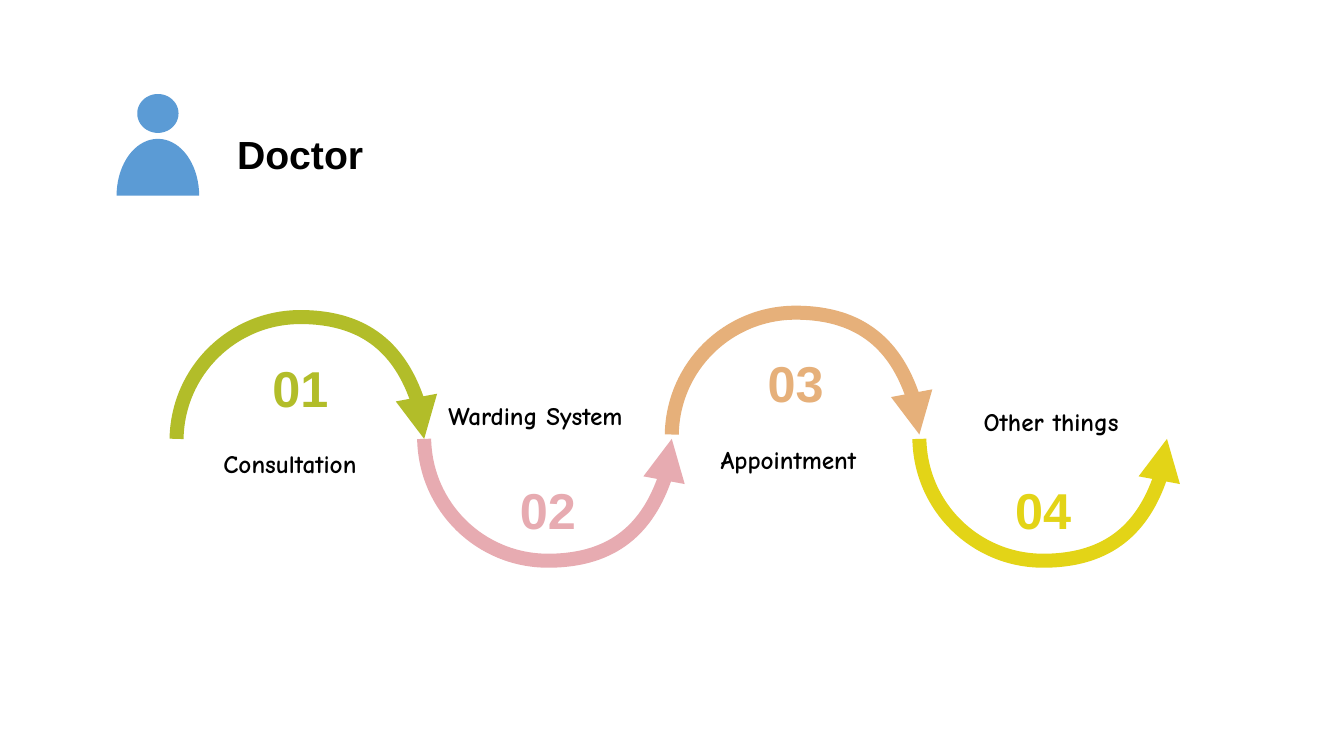
import math
import pptx
import pptx.util
import pptx.dml.color
import pptx.enum.text
import pptx.oxml
import pptx.oxml.ns

Cm = pptx.util.Cm
Pt = pptx.util.Pt
qn = pptx.oxml.ns.qn
ALIGN = pptx.enum.text.PP_ALIGN
ANCHOR = pptx.enum.text.MSO_ANCHOR

ARC_LEFT, ARC_WIDTH, ARC_HEIGHT = 4.45, 6.24, 3.07
ARC_CURVE = [(0.005, 0.56), (0.228, 1), (0.5, 1),
             (0.772, 1), (0.995, 0.56), (1, 0)]

STEPS = [
    (1, "Consultation", "B2BD29", 11.06, (5.38, 10.95, 4.9, 3.25)),
    (2, "Warding System", "E7ABB1", 11.06, (11.05, 9.35, 6.5, 1.63)),
    (4, "Other things", "E3D417", 11.06, (24.54, 7.87, 4.9, 3.25)),
    (3, "Appointment", "E6B07A", 10.95, (17.91, 10.85, 4.9, 3.25)),
]


def rgb(value):
    return pptx.dml.color.RGBColor.from_string(value)


def write(shape, text, font, size, color, align, anchor, spacing=None):
    tf = shape.text_frame
    tf.text = text
    tf.word_wrap = True
    tf.vertical_anchor = anchor
    p = tf.paragraphs[0]
    p.alignment = align
    p.line_spacing = spacing
    f = p.runs[0].font
    f.name, f.size, f.bold = font, Pt(size), True
    f.color.rgb = rgb(color)


def curve_segments(sp):
    outline = sp._element.find(".//" + qn("a:path"))
    lines = outline.findall(qn("a:lnTo"))
    for i in range(0, len(lines), 3):
        curve = pptx.oxml.parse_xml(
            "<a:cubicBezTo %s/>" % pptx.oxml.ns.nsdecls("a"))
        for line in lines[i:i + 3]:
            curve.append(line[0])
            outline.remove(line)
        outline.append(curve)


def add_arc_arrow(shapes, number, color, base):
    left = ARC_LEFT + (number - 1) * ARC_WIDTH
    rise = -ARC_HEIGHT if number % 2 else ARC_HEIGHT
    builder = shapes.build_freeform(Cm(left), Cm(base))
    builder.add_line_segments(
        [(Cm(left + x * ARC_WIDTH), Cm(base + y * rise)) for x, y in ARC_CURVE],
        close=False)
    sp = builder.convert_to_shape()
    curve_segments(sp)
    sp.shadow.inherit = False
    sp.fill.background()
    sp.line.color.rgb = rgb(color)
    sp.line.width = Pt(10)
    sp._element.spPr.find(qn("a:ln")).append(pptx.oxml.parse_xml(
        '<a:tailEnd %s type="triangle"/>' % pptx.oxml.ns.nsdecls("a")))
    write(sp, f"{number:02d}", "Arial", 36, color,
          ALIGN.CENTER, ANCHOR.MIDDLE, 1.3)


def add_step(s, number, label, color, base, box):
    shapes = s.shapes.add_group_shape().shapes
    add_arc_arrow(shapes, number, color, base)
    tb = shapes.add_textbox(*map(Cm, box))
    write(tb, label, "Comic Neue", 18, "000000", ALIGN.JUSTIFY,
          ANCHOR.TOP if number % 2 else ANCHOR.BOTTOM, 1.3)


def ellipse_points(cx, cy, rx, ry, start, end, step=5):
    angles = [math.radians(a) for a in range(start, end + 1, step)]
    return [(Cm(cx + rx * math.cos(a)), Cm(cy + ry * math.sin(a)))
            for a in angles]


def add_person(s, color):
    body = ellipse_points(3.98, 4.93, 1.04, 1.43, 180, 360)
    head = ellipse_points(3.98, 2.86, 0.52, 0.49, 0, 355)
    builder = s.shapes.build_freeform(*body[0])
    builder.add_line_segments(body[1:])
    builder.move_to(*head[0])
    builder.add_line_segments(head[1:])
    sp = builder.convert_to_shape()
    sp.shadow.inherit = False
    sp.fill.solid()
    sp.fill.fore_color.rgb = rgb(color)
    sp.line.fill.background()


def add_title(s, text):
    sp = s.shapes.title
    sp.left, sp.top, sp.width, sp.height = map(Cm, (5.72, 3.15, 5.66, 1.45))
    write(sp, text, "Arial", 28, "000000", ALIGN.LEFT, ANCHOR.TOP)
    sp.text_frame.auto_size = pptx.enum.text.MSO_AUTO_SIZE.SHAPE_TO_FIT_TEXT


def main():
    prs = pptx.Presentation()
    prs.slide_width, prs.slide_height = Cm(33.87), Cm(19.05)
    s = prs.slides.add_slide(prs.slide_layouts[5])
    for step in STEPS:
        add_step(s, *step)
    add_person(s, "5B9BD5")
    add_title(s, "Doctor")
    prs.save("out.pptx")


main()
